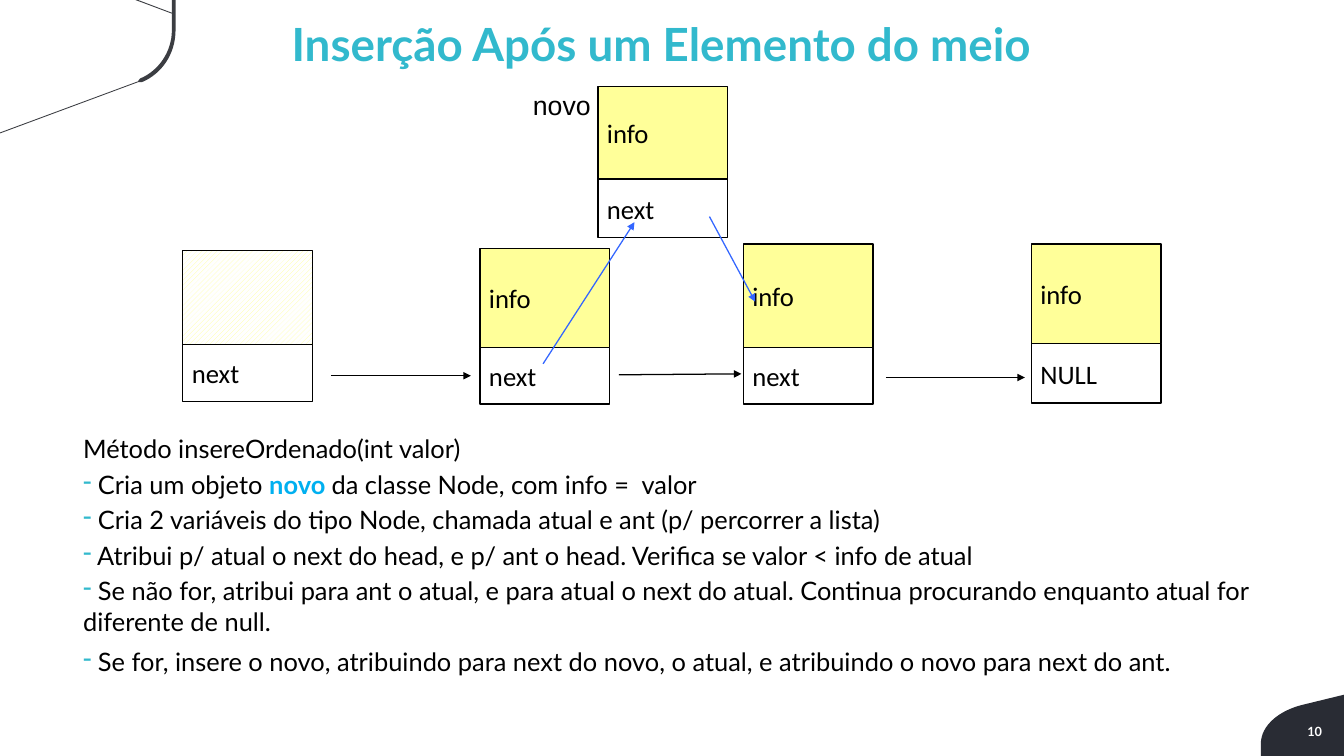
from dataclasses import dataclass
from lxml.etree import SubElement
from pptx import Presentation
from pptx.dml.color import RGBColor
from pptx.enum.dml import MSO_PATTERN
from pptx.enum.shapes import MSO_CONNECTOR, MSO_SHAPE
from pptx.enum.text import MSO_ANCHOR, PP_ALIGN
from pptx.oxml.ns import qn
from pptx.util import Emu, Inches, Pt

HUES = {"ink": "000000", "paper": "FFFFFF", "teal": "32B9CD", "sky": "00B0F0",
        "blue": "3366FF", "yellow": "FFFF99", "dark": "292C34", "edge": "3B3D42"}
COLS, ROWS = 147, 82.7

deck = Presentation()
deck.slide_width, deck.slide_height = Inches(14.7), Inches(8.27)
slide = deck.slides.add_slide(deck.slide_layouts[6])
shapes = slide.shapes


@dataclass
class Node:
    col: float
    row: float
    split: float
    base: float
    info: str = "info"
    link: str = "next"


@dataclass
class Arrow:
    start: tuple
    end: tuple
    hue: str = "ink"


@dataclass
class Label:
    box: tuple
    lines: list
    font: dict
    frame: dict


def hue(name: str) -> RGBColor:
    return RGBColor.from_string(HUES[name])


def across(cols: float) -> Emu:
    return Emu(round(deck.slide_width * cols / COLS))


def down(rows: float) -> Emu:
    return Emu(round(deck.slide_height * rows / ROWS))


def apply(target, values: dict) -> None:
    for key, value in values.items():
        setattr(target, key, value)


def style(font, values: dict) -> None:
    rest = dict(values)
    font.color.rgb = hue(rest.pop("hue"))
    apply(font, rest)


def margins(side: float, end: float) -> dict:
    return {"margin_left": across(side), "margin_right": across(side),
            "margin_top": down(end), "margin_bottom": down(end)}


INSET = {"word_wrap": True, **margins(1, 0.5)}
CELL = {"name": "Calibri", "size": Pt(21), "hue": "ink"}
BODY = {"name": "Lato", "size": Pt(20), "hue": "ink"}


def curve(start: tuple, pull: tuple, push: tuple, end: tuple, steps: int = 16) -> list:
    points = []
    for step in range(steps + 1):
        t = step / steps
        u = 1 - t
        weights = (u ** 3, 3 * u * u * t, 3 * u * t * t, t ** 3)
        points.append(tuple(sum(w * p[axis] for w, p in zip(weights, (start, pull, push, end)))
                            for axis in (0, 1)))
    return points


def outline(points: list, name: str) -> None:
    spots = [(across(x), down(y)) for x, y in points]
    pen = shapes.build_freeform(*spots[0], scale=1.0)
    pen.add_line_segments(spots[1:], close=True)
    form = pen.convert_to_shape()
    form.shadow.inherit = False
    form.fill.solid()
    form.fill.fore_color.rgb = hue(name)
    form.line.fill.background()


def block(col: float, top: float, end: float, text: str, name: str) -> None:
    rect = shapes.add_shape(MSO_SHAPE.RECTANGLE, across(col), down(top),
                            across(14.2), down(end - top))
    rect.shadow.inherit = False
    if text:
        rect.fill.solid()
        rect.fill.fore_color.rgb = hue(name)
    else:
        rect.fill.patterned()
        rect.fill.pattern = MSO_PATTERN.WIDE_UPWARD_DIAGONAL
        rect.fill.fore_color.rgb, rect.fill.back_color.rgb = hue(name), hue("paper")
    rect.line.color.rgb = hue("ink")
    rect.line.width = Pt(1)
    frame = rect.text_frame
    apply(frame, {**INSET, "vertical_anchor": MSO_ANCHOR.MIDDLE})
    if text:
        para = frame.paragraphs[0]
        para.alignment = PP_ALIGN.LEFT
        run = para.add_run()
        run.text = text
        style(run.font, CELL)


def draw_node(node: Node) -> None:
    block(node.col, node.row, node.split, node.info, "yellow")
    block(node.col, node.split, node.base, node.link, "paper")


def draw_arrow(arrow: Arrow) -> None:
    (left, top), (right, base) = arrow.start, arrow.end
    line = shapes.add_connector(MSO_CONNECTOR.STRAIGHT, across(left), down(top),
                                across(right), down(base))
    line.line.color.rgb = hue(arrow.hue)
    line.line.width = Pt(1)
    SubElement(line.line._get_or_add_ln(), qn("a:tailEnd"), type="triangle")
    SubElement(line._element.spPr, qn("a:effectLst"))


def dash(para) -> None:
    props = para._p.get_or_add_pPr()
    props.set("marL", "0")
    props.set("indent", "0")
    tint = SubElement(props, qn("a:buClr"))
    SubElement(tint, qn("a:srgbClr"), val=HUES["teal"])
    SubElement(props, qn("a:buChar"), char="-")


def draw_label(label: Label) -> None:
    left, top, width, height = label.box
    box = shapes.add_textbox(across(left), down(top), across(width), down(height))
    frame = box.text_frame
    apply(frame, {**INSET, **label.frame})
    for index, (runs, form, mark) in enumerate(label.lines):
        para = frame.add_paragraph() if index else frame.paragraphs[0]
        apply(para, form)
        if mark:
            dash(para)
        for text, change in runs:
            run = para.add_run()
            run.text = text
            style(run.font, {**label.font, **change})


def line(text: str, **form) -> tuple:
    return [(text, {})], form, False


def item(*runs, gap: float = 4) -> tuple:
    return [run if isinstance(run, tuple) else (run, {}) for run in runs], \
        {"space_before": Pt(gap)}, True


STEPS = [
    line("Método insereOrdenado(int valor)"),
    item(" Cria um objeto ", ("novo ", {"hue": "sky", "bold": True}),
         "da classe Node, com info =  valor"),
    item(" Cria 2 variáveis do tipo Node, chamada atual e ant (p/ percorrer a lista)"),
    item(" Atribui p/ atual o next do head, e p/ ant o head. Verifica se valor < info de atual"),
    item(" Se não for, atribui para ant o atual, e para atual o next do atual. "
         "Continua procurando enquanto atual for diferente de null."),
    item(" Se for, insere o novo, atribuindo para next do novo, o atual, "
         "e atribuindo o novo para next do ant.", gap=8),
]
LABELS = [
    Label((8.1, 46.9, 131.5, 30.7), STEPS, BODY, {}),
    Label((30.9, 1.2, 110.9, 8.4), [line("Inserção Após um Elemento do meio")],
          {**BODY, "size": Pt(36), "hue": "teal", "bold": True}, {}),
    Label((137.9, 79.1, 6.9, 2.3), [line("10", alignment=PP_ALIGN.RIGHT)],
          {**BODY, "size": Pt(10), "hue": "paper", "bold": True}, margins(0.2, 0.1)),
    Label((57.3, 9.2, 9.4, 4.7), [line("novo")], {**CELL, "name": "Arial"}, {}),
]
NODES = [
    Node(20, 27.4, 37.7, 43.9, info=""),
    Node(81.3, 26.7, 38, 44.2),
    Node(112.8, 26.7, 37.6, 44.1, link="NULL"),
    Node(65.4, 9.5, 19.6, 26),
    Node(52.5, 27.2, 38, 44.2),
]
ARROWS = [
    Arrow((36.2, 41.1), (51.5, 41.1)),
    Arrow((67.7, 41), (81.1, 40.9)),
    Arrow((96.9, 41.3), (112.1, 41.3)),
    Arrow((77.6, 23.7), (82.6, 33), "blue"),
    Arrow((59.4, 39.8), (69.4, 24.3), "blue"),
]

outline([(COLS, 76), *curve((142.5, 77.1), (140, 77.7), (137.9, 79.3), (137.9, 81.4)),
         (137.9, ROWS), (COLS, ROWS)], "dark")
outline([(0, 14.6), (15.1, 9), *curve((15.5, 9), (17.7, 8.1), (19.2, 5.9), (19.2, 3.3)),
         (19.2, 0), (18.8, 0), (18.8, 1.4), (15.1, 0), (14.8, 0), (18.8, 1.5),
         *curve((18.8, 3.3), (18.8, 5.7), (17.3, 7.8), (15.3, 8.6)),
         (15.1, 8.9), (0, 14.5)], "edge")
for node in NODES:
    draw_node(node)
for arrow in ARROWS:
    draw_arrow(arrow)
for label in LABELS:
    draw_label(label)

deck.save("out.pptx")
